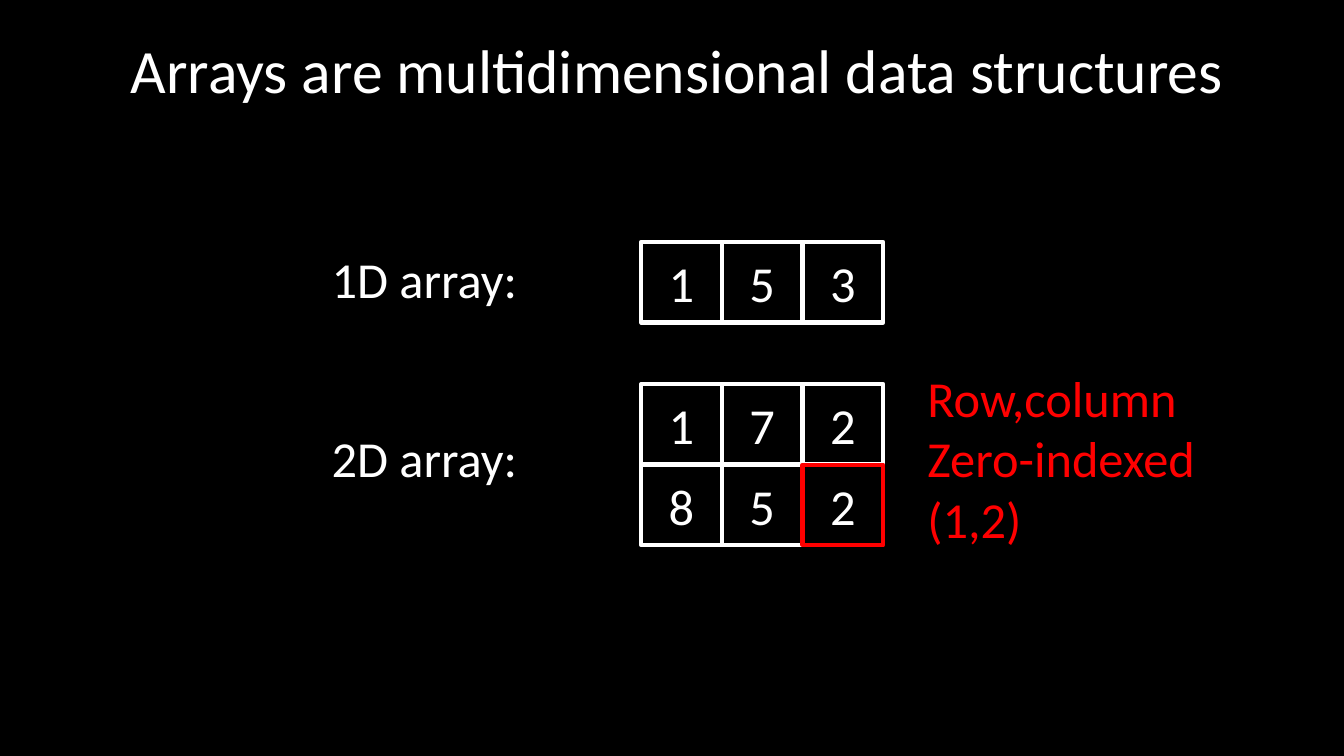
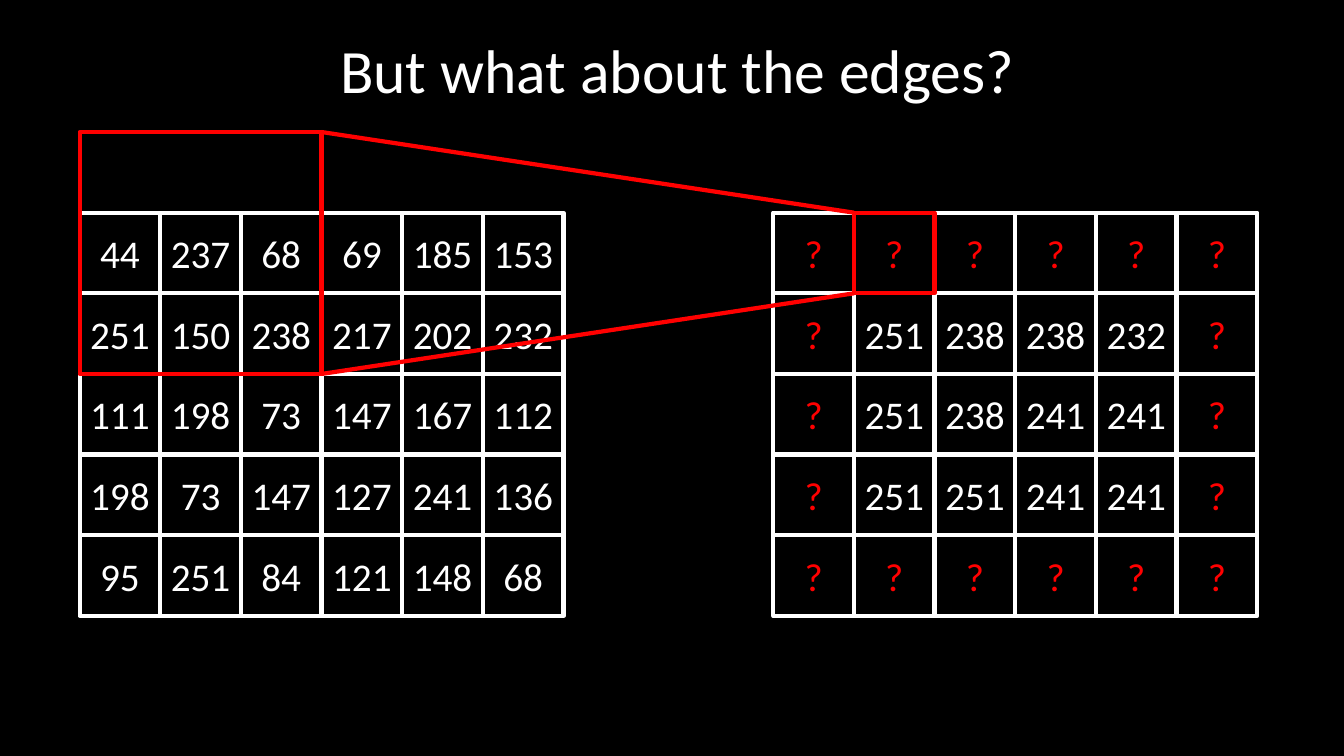
from dataclasses import dataclass

from pptx import Presentation
from pptx.dml.color import RGBColor
from pptx.enum.shapes import MSO_CONNECTOR, MSO_SHAPE
from pptx.enum.text import MSO_ANCHOR, PP_ALIGN
from pptx.oxml.ns import qn
from pptx.util import Emu, Pt
from lxml.etree import SubElement

EMU_PER_PX = 9144
CELL = 80


@dataclass(frozen=True)
class Theme:
    paper: RGBColor = RGBColor(0, 0, 0)
    ink: RGBColor = RGBColor(255, 255, 255)
    accent: RGBColor = RGBColor(255, 0, 0)
    font: str = "Calibri"
    title: int = 44
    body: int = 36
    cell: int = 28
    line: int = 3


THEME = Theme()
TITLE_BOX = (97, 0, 1150, 145)

ARRAY_1D = ["1 5 3"]
ARRAY_2D = ["1 7 2", "8 5 2"]
IMAGE = [
    "44 237 68 69 185 153",
    "251 150 238 217 202 232",
    "111 198 73 147 167 112",
    "198 73 147 127 241 136",
    "95 251 84 121 148 68",
]
FILTERED = [
    "? ? ? ? ? ?",
    "? 251 238 238 232 ?",
    "? 251 238 241 241 ?",
    "? 251 251 241 241 ?",
    "? ? ? ? ? ?",
]


def px(*values):
    return [Emu(v * EMU_PER_PX) for v in values]


def write(tf, text, size, color, align=PP_ALIGN.LEFT, spacing=None):
    tf.text = text
    for p in tf.paragraphs:
        p.alignment = align
        p.line_spacing = spacing
        for r in p.runs:
            r.font.name = THEME.font
            r.font.size = Pt(size)
            r.font.color.rgb = color


def add_text(shapes, box, text, size=THEME.body, color=THEME.ink,
             anchor=MSO_ANCHOR.TOP, **style):
    tf = shapes.add_textbox(*px(*box)).text_frame
    tf.word_wrap = True
    tf.vertical_anchor = anchor
    write(tf, text, size, color, **style)


def add_frame(shapes, box, color):
    sp = shapes.add_shape(MSO_SHAPE.RECTANGLE, *px(*box))
    sp.shadow.inherit = False
    sp.fill.background()
    sp.line.color.rgb = color
    sp.line.width = Pt(THEME.line)
    return sp


def add_line(shapes, start, end):
    cx = shapes.add_connector(MSO_CONNECTOR.STRAIGHT, *px(*start, *end))
    cx.line.color.rgb = THEME.accent
    cx.line.width = Pt(THEME.line)
    SubElement(cx._element.spPr, qn("a:effectLst"))


def add_grid(slide, left, top, rows, size, marked=None):
    shapes = slide.shapes.add_group_shape().shapes
    cells = [((i, j), value) for i, row in enumerate(rows)
             for j, value in enumerate(row.split())]
    for (i, j), value in sorted(cells, key=lambda cell: cell[0] == marked):
        color = THEME.accent if (i, j) == marked else THEME.ink
        sp = add_frame(shapes, (left + j * CELL, top + i * CELL, CELL, CELL), color)
        tf = sp.text_frame
        tf.margin_left = tf.margin_right = 0
        tf.vertical_anchor = MSO_ANCHOR.MIDDLE
        write(tf, value, size, THEME.accent if value == "?" else THEME.ink,
              PP_ALIGN.CENTER)


def add_projection(slide, window, target):
    shapes = slide.shapes.add_group_shape().shapes
    for box in (target, window):
        add_frame(shapes, box, THEME.accent)
    x, y, w, h = window
    tx, ty, _, th = target
    add_line(shapes, (x + w, y), (tx, ty))
    add_line(shapes, (x + w, y + h), (tx, ty + th))


def add_slide(prs, title):
    s = prs.slides.add_slide(prs.slide_layouts[6])
    s.background.fill.solid()
    s.background.fill.fore_color.rgb = THEME.paper
    add_text(s.shapes, TITLE_BOX, title, THEME.title, anchor=MSO_ANCHOR.MIDDLE,
             align=PP_ALIGN.CENTER, spacing=0.9)
    return s


def arrays_slide(prs):
    s = add_slide(prs, "Arrays are multidimensional data structures")
    add_text(s.shapes, (319, 241, 221, 131), "1D array:")
    add_text(s.shapes, (319, 419, 221, 131), "2D array:")
    add_grid(s, 636, 240, ARRAY_1D, THEME.body)
    add_grid(s, 636, 381, ARRAY_2D, THEME.body, marked=(1, 2))
    add_text(s.shapes, (910, 359, 406, 252), "Row,column\nZero-indexed\n(1,2)",
             color=THEME.accent)


def edges_slide(prs):
    s = add_slide(prs, "But what about the edges?")
    image_left, filtered_left, top = 79, 767, 211
    add_grid(s, image_left, top, IMAGE, THEME.cell)
    add_grid(s, filtered_left, top, FILTERED, THEME.cell)
    add_projection(s, (image_left, top - CELL, 3 * CELL, 3 * CELL),
                   (filtered_left + CELL, top, CELL, CELL))


def main():
    prs = Presentation()
    prs.slide_width, prs.slide_height = px(1333, 750)
    arrays_slide(prs)
    edges_slide(prs)
    prs.save("out.pptx")


if __name__ == "__main__":
    main()
